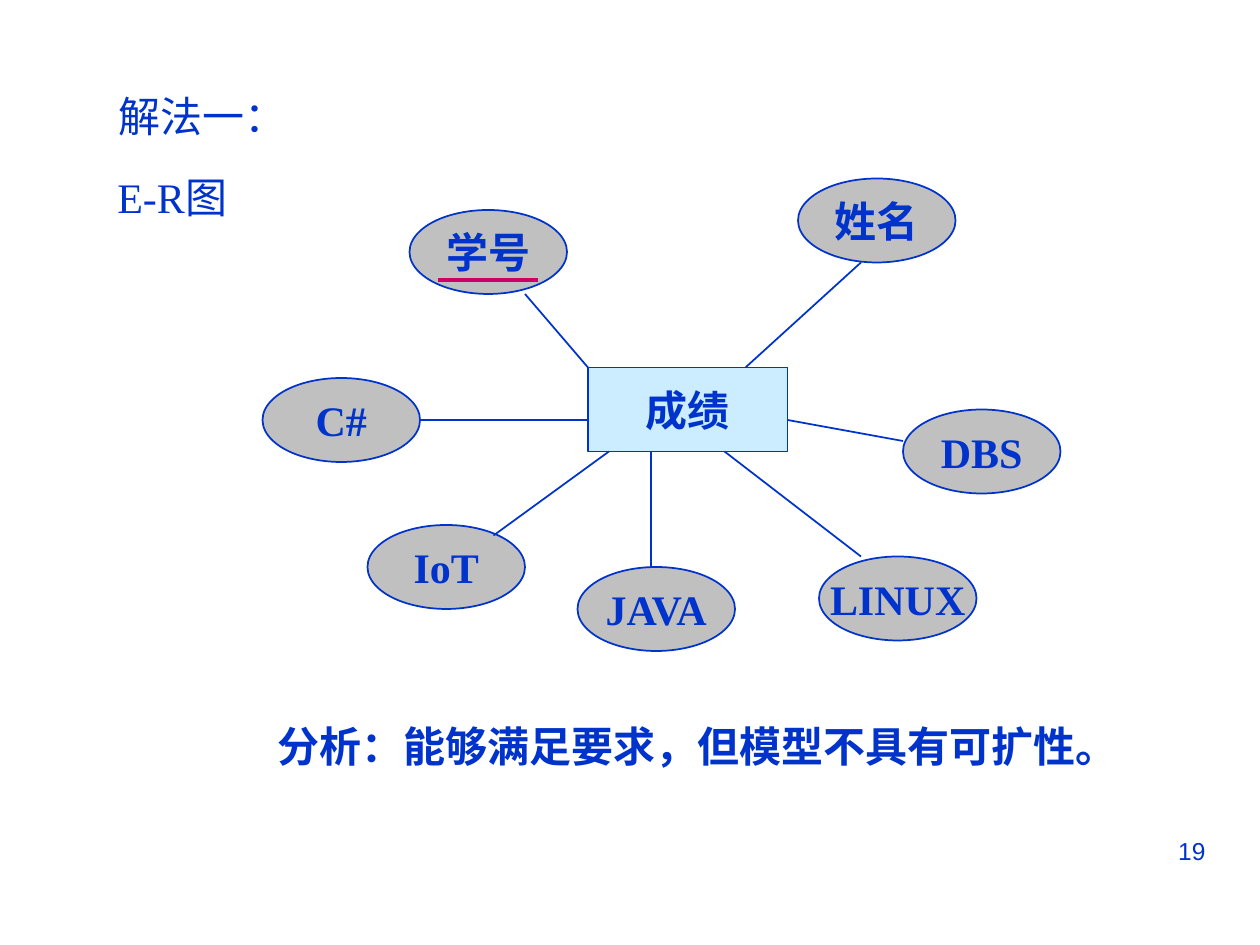
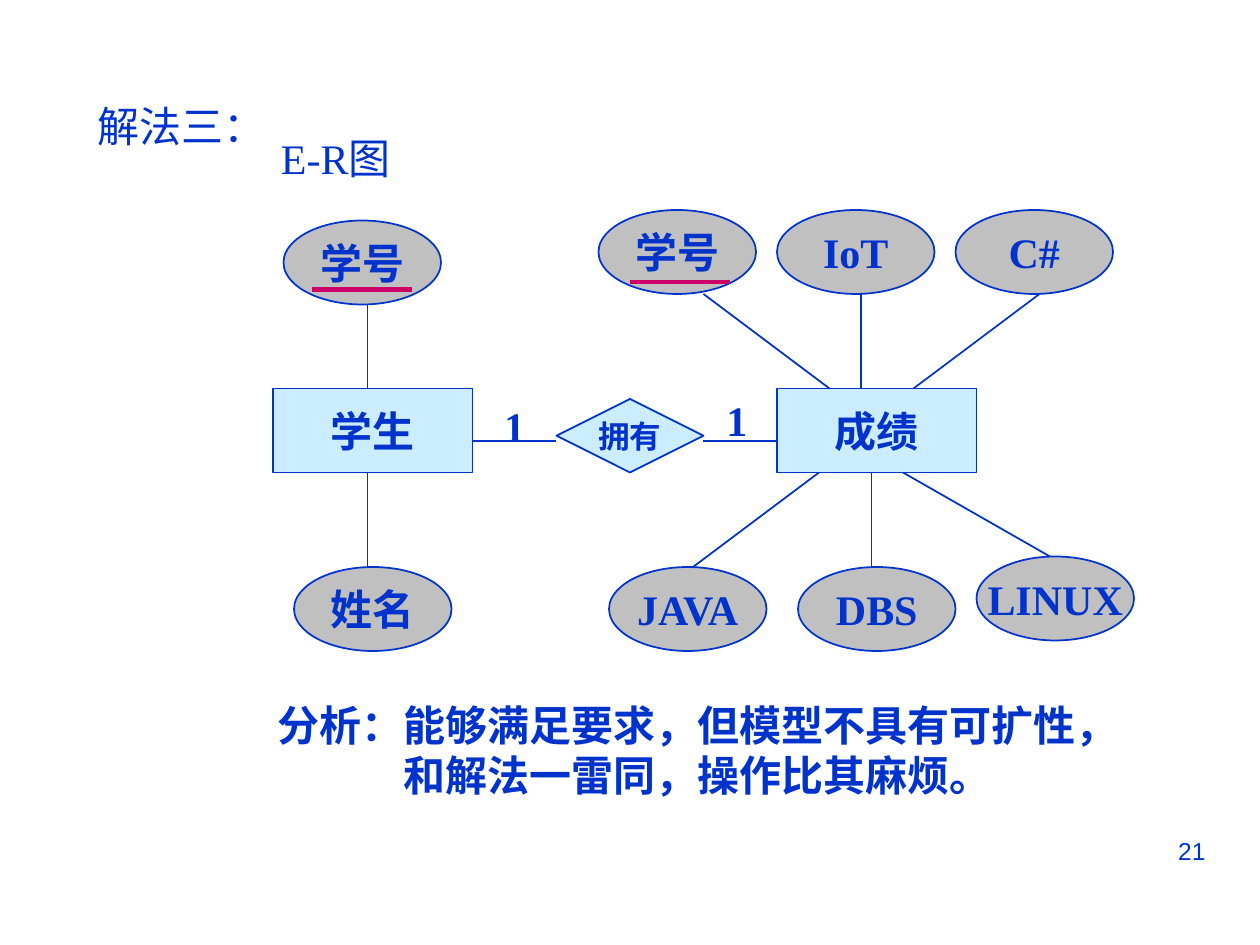
from dataclasses import dataclass
from typing import NamedTuple

from lxml.etree import SubElement
from pptx import Presentation
from pptx.dml.color import RGBColor
from pptx.enum.shapes import MSO_CONNECTOR as Link, MSO_SHAPE as Geom
from pptx.enum.text import MSO_ANCHOR as Anchor, PP_ALIGN as Align
from pptx.oxml.ns import qn
from pptx.util import Pt

# Shared look
BLUE, GREY, PALE, PINK = "0033CC", "C0C0C0", "CCECFF", "CC0066"
SERIF, SANS = "Times New Roman", "Arial"
KEY_W = 57  # width of the stroke under a key attribute


class Kind(NamedTuple):
    geom: Geom
    w: float
    h: float
    fill: str
    size: float = 24
    font: str = SERIF


ENTITY = Kind(Geom.RECTANGLE, 114, 48, PALE)
FIELD = Kind(Geom.OVAL, 90, 48, GREY)
BOND = Kind(Geom.DIAMOND, 84, 42, PALE, 18, SANS)


class Node(NamedTuple):
    text: str
    x: float
    y: float
    kind: Kind = FIELD


class Line(NamedTuple):
    x1: float
    y1: float
    x2: float
    y2: float


@dataclass
class Note:
    lines: list[str]
    x: float
    y: float
    w: float
    h: float = 36
    bold: bool = False
    wrap: bool = False
    size: float = 24
    font: str = SERIF
    align: Align = Align.LEFT
    indent: float = 0  # left margin of the lines after the first


@dataclass
class Page:
    number: str
    notes: list[Note]
    nodes: list[Node]
    lines: list[Line]
    keys: list[tuple[float, float]]


def paint(code: str) -> RGBColor:
    return RGBColor.from_string(code)


def add_run(para, text: str, size: float, font: str, bold: bool) -> None:
    run = para.add_run()
    run.text = text
    face = run.font
    face.size, face.name, face.bold = Pt(size), font, bold
    face.color.rgb = paint(BLUE)


def draw_note(slide, note: Note) -> None:
    box = slide.shapes.add_textbox(Pt(note.x), Pt(note.y), Pt(note.w), Pt(note.h))
    frame = box.text_frame
    frame.word_wrap = note.wrap
    for i, text in enumerate(note.lines):
        para = frame.add_paragraph() if i else frame.paragraphs[0]
        para.alignment = note.align
        if i and note.indent:
            para._p.get_or_add_pPr().set("marL", str(Pt(note.indent)))
        add_run(para, text, note.size, note.font, note.bold)


def draw_node(slide, node: Node) -> None:
    kind = node.kind
    shape = slide.shapes.add_shape(
        kind.geom, Pt(node.x), Pt(node.y), Pt(kind.w), Pt(kind.h))
    shape.shadow.inherit = False
    shape.fill.solid()
    shape.fill.fore_color.rgb = paint(kind.fill)
    shape.line.color.rgb = paint(BLUE)
    shape.line.width = Pt(1)
    frame = shape.text_frame
    frame.word_wrap = False
    frame.vertical_anchor = Anchor.MIDDLE
    para = frame.paragraphs[0]
    para.alignment = Align.CENTER
    add_run(para, node.text, kind.size, kind.font, True)


def draw_line(slide, line: Line, color: str = BLUE, width: float = 1) -> None:
    link = slide.shapes.add_connector(Link.STRAIGHT, *map(Pt, line))
    link.line.color.rgb = paint(color)
    link.line.width = Pt(width)
    SubElement(link._element.spPr, qn("a:effectLst"))


def draw_page(deck, page: Page) -> None:
    slide = deck.slides.add_slide(deck.slide_layouts[6])
    # Page number
    draw_note(slide, Note([page.number], 516, 474, 180, 37.5, wrap=True,
                          size=14, font=SANS, align=Align.RIGHT))
    # Diagram
    for node in page.nodes:
        draw_node(slide, node)
    for line in page.lines:
        draw_line(slide, line)
    for note in page.notes:
        draw_note(slide, note)
    # Strokes under key attributes
    for x, y in page.keys:
        draw_line(slide, Line(x, y, x + KEY_W, y), PINK, 2.5)


# One entity holding every attribute
FIRST = Page(
    "19",
    [
        Note(["解法一："], 60.5, 48, 110),
        Note(["E-R图"], 60, 94.5, 77, 65, wrap=True),
        Note(["分析：能够满足要求，但模型不具有可扩性。"], 151.5, 408, 494, bold=True),
    ],
    [
        Node("成绩", 336, 210, ENTITY),
        Node("学号", 234, 120),
        Node("姓名", 456, 102),
        Node("C#", 150, 216),
        Node("IoT", 210, 300),
        Node("JAVA", 330, 324),
        Node("LINUX", 468, 318),
        Node("DBS", 516, 234),
    ],
    [
        Line(336, 210, 300, 168),
        Line(492, 150, 426, 210),
        Line(336, 240, 240, 240),
        Line(348, 258, 282, 306),
        Line(372, 258, 372, 324),
        Line(414, 258, 492, 318),
        Line(450, 240, 516, 252),
    ],
    [(250.5, 160)],
)

# Two entities joined one to one
THIRD = Page(
    "21",
    [
        Note(["解法三："], 48.5, 54, 110),
        Note(["E-R图"], 153.5, 72, 83),
        Note(["分析：能够满足要求，但模型不具有可扩性，",
              "和解法一雷同，操作比其麻烦。"],
             151.5, 396, 494, 65, bold=True, indent=72),
        Note(["1"], 281, 225.5, 26, bold=True),
        Note(["1"], 408, 222, 26.5, bold=True, wrap=True),
    ],
    [
        Node("学生", 156, 222, ENTITY),
        Node("成绩", 444, 222, ENTITY),
        Node("拥有", 318, 228, BOND),
        Node("学号", 162, 126),
        Node("姓名", 168, 324),
        *(Node(text, 342 + 102 * i, 120)
          for i, text in enumerate(["学号", "IoT", "C#"])),
        Node("JAVA", 348, 324),
        Node("DBS", 456, 324),
        Node("LINUX", 558, 318),
    ],
    [
        Line(210, 222, 210, 174),
        Line(210, 270, 210, 324),
        Line(402, 168, 474, 222),
        Line(492, 168, 492, 222),
        Line(594, 168, 522, 222),
        Line(468, 270, 396, 324),
        Line(498, 270, 498, 324),
        Line(516, 270, 600, 318),
        Line(318, 252, 270, 252),
        Line(402, 252, 444, 252),
    ],
    [(178.5, 165.5), (360, 161)],
)


def main() -> None:
    deck = Presentation()
    deck.slide_width, deck.slide_height = Pt(720), Pt(540)
    for page in (FIRST, THIRD):
        draw_page(deck, page)
    deck.save("out.pptx")


if __name__ == "__main__":
    main()
